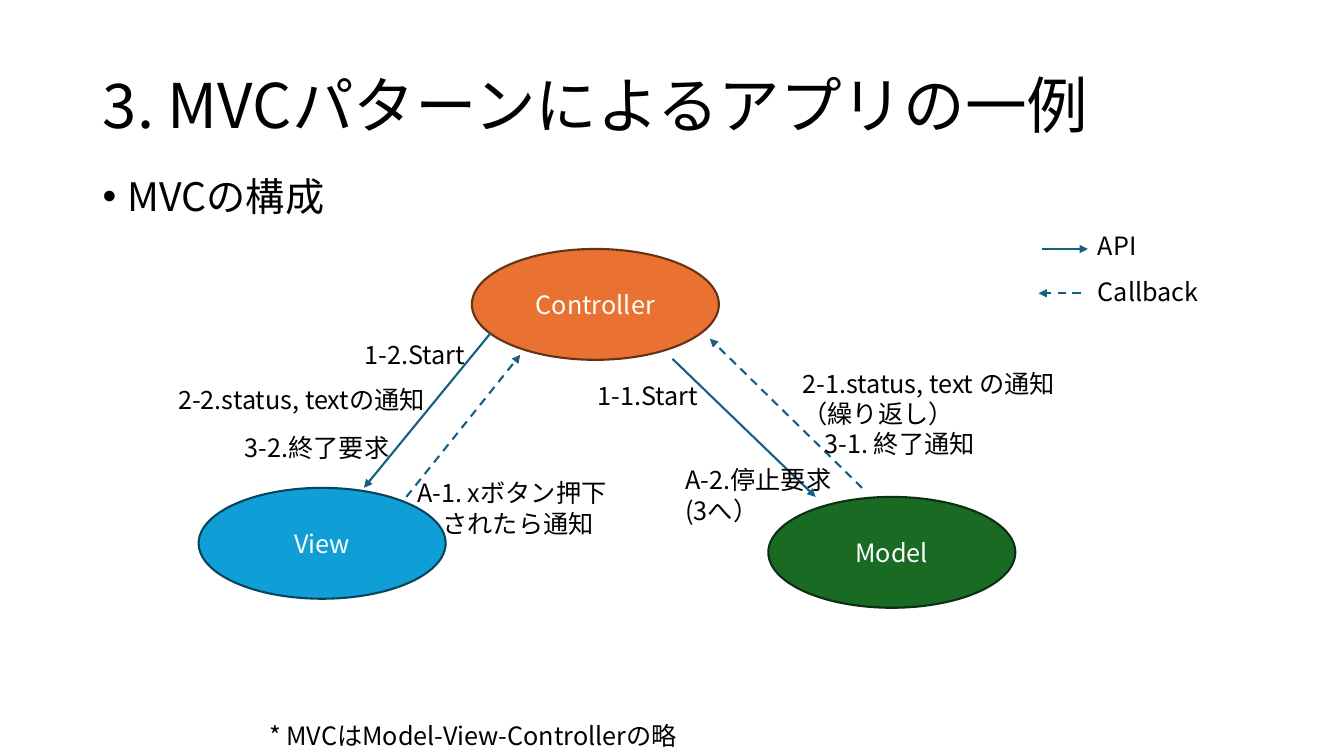
"""Build the slide that shows how an MVC application is composed."""
from dataclasses import dataclass

from lxml import etree
from pptx import Presentation
from pptx import util as u
from pptx.dml.color import RGBColor
from pptx.enum import dml, shapes, text
from pptx.oxml.ns import qn


@dataclass(frozen=True)
class Theme:
    """Colours, font and type sizes of the slide."""
    font: str = "Noto Sans CJK JP"
    ink: str = "000000"
    paper: str = "FFFFFF"
    arrow: str = "156082"
    view: tuple = ("0F9ED5", "07455D")
    model: tuple = ("196B24", "0B2F10")
    controller: tuple = ("E97132", "663216")
    title_size: int = 44
    bullet_size: int = 28
    label_size: int = 18
    line_width: float = 1.5


class Diagram:
    """Draws the parts of the diagram on one slide."""

    def __init__(self, slide, theme):
        """Keep the slide and its style."""
        self.slide = slide
        self.theme = theme

    def style(self, paragraph, size, colour):
        """Format every run of a paragraph."""
        for run in paragraph.runs:
            run.font.name = self.theme.font
            run.font.size = u.Pt(size)
            run.font.color.rgb = RGBColor.from_string(colour)
            east_asian = etree.SubElement(run.font._element, qn("a:ea"))
            east_asian.set("typeface", self.theme.font)

    def title(self, wording, left, top, width, height):
        """Place and format the title placeholder."""
        heading = self.slide.shapes.title
        heading.left, heading.top = u.Inches(left), u.Inches(top)
        heading.width, heading.height = u.Inches(width), u.Inches(height)
        frame = heading.text_frame
        frame.text = wording
        frame.auto_size = text.MSO_AUTO_SIZE.NONE
        frame.vertical_anchor = text.MSO_ANCHOR.MIDDLE
        paragraph = frame.paragraphs[0]
        paragraph.alignment = text.PP_ALIGN.LEFT
        paragraph.line_spacing = 0.9
        self.style(paragraph, self.theme.title_size, self.theme.ink)

    def label(self, lines, left, top, width, height, indents=(), size=None):
        """Add a text box with one paragraph a line and return its frame."""
        box = self.slide.shapes.add_textbox(
            u.Inches(left), u.Inches(top), u.Inches(width), u.Inches(height))
        frame = box.text_frame
        frame.word_wrap = True
        frame.text = lines
        for paragraph in frame.paragraphs:
            self.style(paragraph, size or self.theme.label_size, self.theme.ink)
        for paragraph, indent in zip(frame.paragraphs, indents):
            paragraph._p.get_or_add_pPr().set("marL", str(u.Inches(indent)))
        return frame

    def bullet(self, wording, left, top, width, height):
        """Add a bulleted line."""
        frame = self.label(wording, left, top, width, height, (0.25,),
                           self.theme.bullet_size)
        paragraph = frame.paragraphs[0]
        properties = paragraph._p.get_or_add_pPr()
        properties.set("indent", str(-u.Inches(0.25)))
        etree.SubElement(properties, qn("a:buFont")).set("typeface", "Arial")
        etree.SubElement(properties, qn("a:buChar")).set("char", "•")
        paragraph.line_spacing = 0.9

    def component(self, name, left, top, colours):
        """Add an ellipse for one part of the pattern."""
        ellipse = self.slide.shapes.add_shape(
            shapes.MSO_SHAPE.OVAL, u.Inches(left), u.Inches(top),
            u.Inches(2.45), u.Inches(1.1))
        fill, outline = colours
        ellipse.shadow.inherit = False
        ellipse.fill.solid()
        ellipse.fill.fore_color.rgb = RGBColor.from_string(fill)
        ellipse.line.color.rgb = RGBColor.from_string(outline)
        ellipse.line.width = u.Pt(self.theme.line_width)
        frame = ellipse.text_frame
        frame.text = name
        frame.vertical_anchor = text.MSO_ANCHOR.MIDDLE
        frame.paragraphs[0].alignment = text.PP_ALIGN.CENTER
        self.style(frame.paragraphs[0], self.theme.label_size, self.theme.paper)

    def arrow(self, start, end, callback=False):
        """Add an arrow, dashed when it stands for a callback."""
        connector = self.slide.shapes.add_connector(
            shapes.MSO_CONNECTOR.STRAIGHT,
            *(u.Inches(value) for value in (*start, *end)))
        line = connector.line
        line.color.rgb = RGBColor.from_string(self.theme.arrow)
        line.width = u.Pt(self.theme.line_width)
        if callback:
            line.dash_style = dml.MSO_LINE.DASH
        etree.SubElement(line._get_or_add_ln(), qn("a:tailEnd")).set("type", "triangle")
        etree.SubElement(connector._element.spPr, qn("a:effectLst"))


def main():
    """Build and save the slide."""
    deck = Presentation()
    deck.slide_width, deck.slide_height = u.Inches(13.33), u.Inches(7.5)
    theme = Theme()
    diagram = Diagram(deck.slides.add_slide(deck.slide_layouts[5]), theme)

    diagram.title("3. MVCパターンによるアプリの一例", 0.92, 0.35, 11.5, 1.45)
    diagram.bullet("MVCの構成", 0.92, 1.71, 11.5, 0.6)

    diagram.component("View", 1.97, 4.84, theme.view)
    diagram.component("Model", 7.62, 4.93, theme.model)
    diagram.component("Controller", 4.68, 2.47, theme.controller)

    diagram.arrow((4.87, 3.3), (3.61, 4.84))
    diagram.arrow((4.03, 4.93), (5.16, 3.52), callback=True)
    diagram.arrow((6.67, 3.56), (8.09, 4.93))
    diagram.arrow((8.55, 4.84), (7.04, 3.36), callback=True)

    diagram.label("1-2.Start", 3.52, 3.32, 1.26, 0.4)
    diagram.label("2-2.status, textの通知", 1.67, 3.76, 2.96, 0.4)
    diagram.label("3-2.終了要求", 2.33, 4.24, 1.89, 0.4)
    diagram.label("A-1. xボタン押下\nされたら通知", 4.04, 4.69, 2.47, 0.71, (0, 0.25))
    diagram.label("1-1.Start", 5.83, 3.72, 1.26, 0.71)
    diagram.label("A-2.停止要求\n(3へ）", 6.7, 4.56, 2.47, 0.71)
    diagram.label("2-1.status, text の通知\n（繰り返し）\n3-1. 終了通知",
                  7.86, 3.6, 3.35, 1.01, (0, 0, 0.22))

    diagram.arrow((10.33, 2.47), (10.79, 2.47))
    diagram.label("API", 10.79, 2.24, 1.26, 0.4)
    diagram.arrow((10.72, 2.91), (10.3, 2.91), callback=True)
    diagram.label("Callback", 10.79, 2.69, 1.26, 0.4)

    diagram.label("* MVCはModel-View-Controllerの略", 2.57, 7.1, 9.5, 0.4)
    deck.save("out.pptx")


if __name__ == "__main__":
    main()
